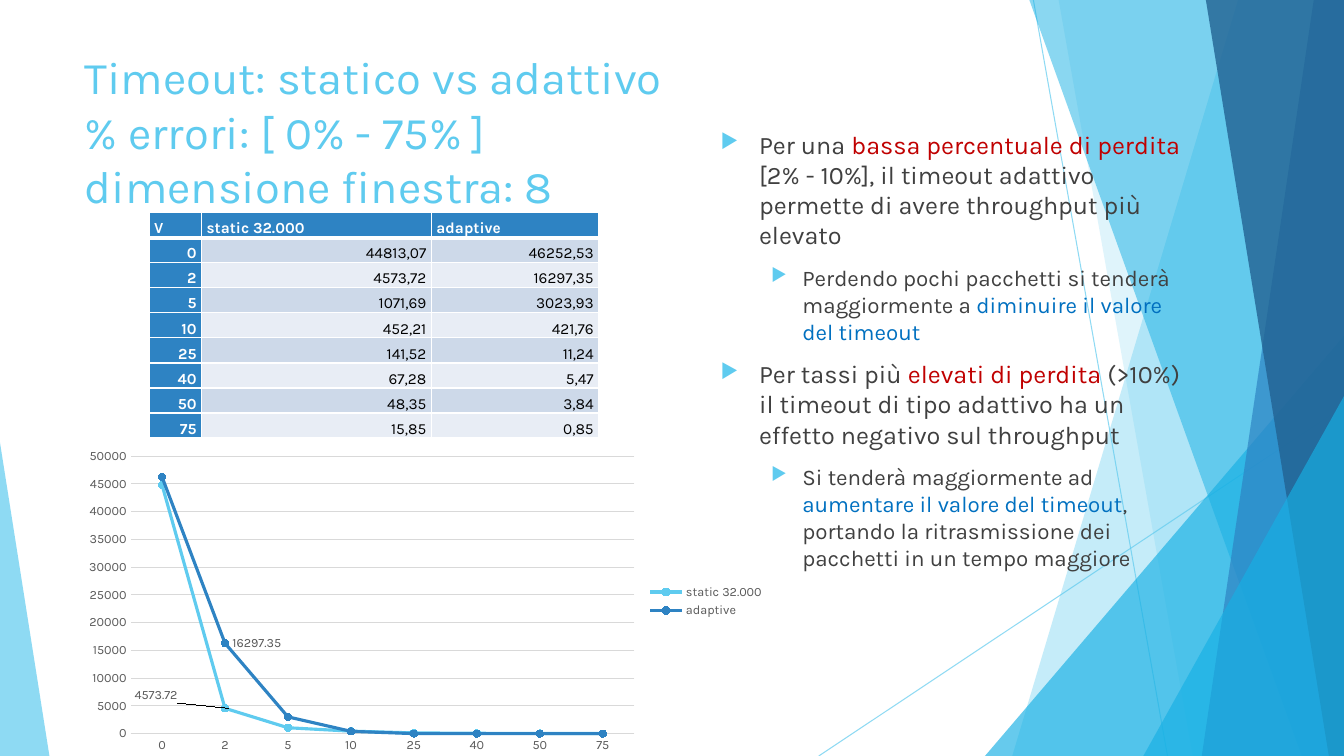
import lxml.etree
import pptx
import pptx.chart.data
import pptx.dml.color
import pptx.enum.chart
import pptx.enum.shapes
import pptx.enum.text
import pptx.oxml.ns
import pptx.util

COLORS = {
    "sky": "5FCBEF", "cyan": "17B0E4", "blue": "2E83C3", "navy": "226292",
    "text": "404040", "red": "C00000", "link": "0070C0", "label": "595959",
    "grid": "D9D9D9", "band": "CDD9E9", "pale": "E8EDF5",
    "white": "FFFFFF", "black": "000000",
}
FONT = "Karla"
WIDTH, HEIGHT = pptx.util.Inches(13.33), pptx.util.Inches(7.5)
LOSS_RATES = ["0", "2", "5", "10", "25", "40", "50", "75"]
THROUGHPUT = {
    "static 32.000": [44813.07, 4573.72, 1071.69, 452.21, 141.52, 67.28, 48.35, 15.85],
    "adaptive": [46252.53, 16297.35, 3023.93, 421.76, 11.24, 5.47, 3.84, 0.85],
}
FINDINGS = [
    (0, [("Per una ", "text"), ("bassa percentuale di perdita ", "red"),
         ("[2% - 10%], il timeout adattivo permette di avere throughput più elevato", "text")]),
    (1, [("Perdendo pochi pacchetti si tenderà maggiormente a ", "text"),
         ("diminuire il valore del timeout", "link")]),
    (0, [("Per tassi più ", "text"), ("elevati di perdita ", "red"),
         ("(>10%) il timeout di tipo adattivo ha un effetto negativo sul throughput", "text")]),
    (1, [("Si tenderà maggiormente ad ", "text"), ("aumentare il valore del timeout", "link"),
         (", portando la ritrasmissione dei pacchetti in un tempo maggiore", "text")]),
]


def area(*percents):
    """Turn alternating percentages of slide width and height into lengths."""
    return [round(value / 100 * (HEIGHT if index % 2 else WIDTH))
            for index, value in enumerate(percents)]


def rgb(name):
    """Look up a named colour."""
    return pptx.dml.color.RGBColor.from_string(COLORS[name])


def add_xml(parent, tag, **attributes):
    """Append a namespaced element such as a:alpha."""
    return lxml.etree.SubElement(parent, pptx.oxml.ns.qn(tag), attributes)


def set_font(font, size, color, bold=None):
    """Apply the slide font in a size and colour."""
    font.name, font.size, font.bold = FONT, pptx.util.Pt(size), bold
    font.color.rgb = rgb(color)


def set_opacity(shape, percent):
    """Make the only colour of a shape partly transparent."""
    for color in shape._element.spPr.iter(pptx.oxml.ns.qn("a:srgbClr")):
        add_xml(color, "a:alpha", val=str(percent * 1000))


def fill_facet(shape, color, opacity):
    """Give a backdrop facet a translucent fill and no outline."""
    shape.shadow.inherit = False
    shape.fill.solid()
    shape.fill.fore_color.rgb = rgb(color)
    set_opacity(shape, opacity)
    shape.line.fill.background()


def add_ray(page, *ends):
    """Draw a thin backdrop line."""
    ray = page.shapes.add_connector(pptx.enum.shapes.MSO_CONNECTOR.STRAIGHT, *area(*ends))
    ray.line.color.rgb = rgb("sky")
    ray.line.width = pptx.util.Pt(0.75)
    set_opacity(ray, 70)
    add_xml(ray._element.spPr, "a:effectLst")


def add_facet(page, top_left, bottom_left, color, opacity):
    """Draw a facet reaching from two left corners to the right slide edge."""
    outline = page.shapes.build_freeform(*area(top_left, 0))
    corners = [(100, 0), (100, 100), (bottom_left, 100)]
    outline.add_line_segments([area(*corner) for corner in corners])
    fill_facet(outline.convert_to_shape(), color, opacity)


def add_triangle(page, bounds, apex, color, opacity):
    """Draw a triangle whose apex sits at a share of its width."""
    triangle = page.shapes.add_shape(
        pptx.enum.shapes.MSO_SHAPE.ISOSCELES_TRIANGLE, *area(*bounds))
    triangle.adjustments[0] = apex
    fill_facet(triangle, color, opacity)


def add_backdrop(page):
    """Draw the faceted backdrop from back to front."""
    add_ray(page, 76.89, 0, 86.87, 100)
    add_ray(page, 100, 53.73, 60.92, 100)
    add_facet(page, 92.12, 75.32, "sky", 36)
    add_facet(page, 78.77, 88.75, "sky", 20)
    add_triangle(page, (73.29, 44.4, 26.71, 55.6), 1, "cyan", 66)
    add_facet(page, 76.59, 96.85, "cyan", 50)
    add_facet(page, 97.75, 89.42, "blue", 70)
    add_facet(page, 89.72, 98.87, "navy", 80)
    add_triangle(page, (85.07, 52.4, 14.93, 47.6), 1, "cyan", 66)
    add_triangle(page, (0, 58.53, 3.68, 41.47), 0, "sky", 70)


def set_title(page, text):
    """Place and format the title."""
    title = page.shapes.title
    title.left, title.top, title.width, title.height = area(5.55, 5.87, 70.5, 20.93)
    frame = title.text_frame
    frame.text = text
    frame.auto_size = pptx.enum.text.MSO_AUTO_SIZE.NONE
    frame.vertical_anchor = pptx.enum.text.MSO_ANCHOR.TOP
    frame.paragraphs[0].alignment = pptx.enum.text.PP_ALIGN.LEFT
    set_font(frame.paragraphs[0].font, 32.4, "sky")


def add_bullet(paragraph, level):
    """Give a paragraph its triangle bullet and hanging indent."""
    indent, hanging = [(0.38, 0.38), (0.81, 0.31)][level]
    paragraph.level = level
    paragraph.space_before = pptx.util.Pt(10)
    properties = paragraph._p.get_or_add_pPr()
    properties.set("marL", str(pptx.util.Inches(indent)))
    properties.set("indent", str(-pptx.util.Inches(hanging)))
    add_xml(add_xml(properties, "a:buClr"), "a:srgbClr", val=COLORS["sky"])
    add_xml(properties, "a:buSzPct", val="80000")
    add_xml(properties, "a:buChar", char="▶")


def add_findings(page):
    """Write the bulleted findings."""
    frame = page.shapes.add_textbox(*area(52.89, 16.4, 36.01, 66)).text_frame
    frame.word_wrap = True
    for index, (level, spans) in enumerate(FINDINGS):
        paragraph = frame.add_paragraph() if index else frame.paragraphs[0]
        add_bullet(paragraph, level)
        set_font(paragraph.font, 18 - 2 * level, "text")
        for text, color in spans:
            span = paragraph.add_run()
            span.text = text
            span.font.color.rgb = rgb(color)


def add_borders(cell, bottom):
    """Draw white cell borders, with the bottom one in its own width."""
    properties = cell._tc.get_or_add_tcPr()
    for index, (side, points) in enumerate([("L", 1), ("R", 1), ("T", 1), ("B", bottom)]):
        line = lxml.etree.Element(pptx.oxml.ns.qn(f"a:ln{side}"), w=str(pptx.util.Pt(points)))
        add_xml(add_xml(line, "a:solidFill"), "a:srgbClr", val=COLORS["white"])
        properties.insert(index, line)


def format_cell(cell, text, row, column):
    """Write and style one table cell."""
    heading = row == 0 or column == 0
    cell.text = text
    cell.fill.solid()
    cell.fill.fore_color.rgb = rgb("blue" if heading else "band" if row % 2 else "pale")
    cell.margin_left = cell.margin_right = pptx.util.Inches(0.05)
    cell.margin_top, cell.margin_bottom = pptx.util.Inches(0.01), 0
    cell.vertical_anchor = pptx.enum.text.MSO_ANCHOR.BOTTOM
    paragraph = cell.text_frame.paragraphs[0]
    paragraph.line_spacing = 1.3
    paragraph.space_after = pptx.util.Pt(8)
    if row:
        paragraph.alignment = pptx.enum.text.PP_ALIGN.RIGHT
    set_font(paragraph.font, 11, "white" if heading else "black", heading)
    add_borders(cell, 1 if row else 3)


def add_throughput_table(page):
    """Tabulate throughput by loss rate."""
    rows = [["V", *THROUGHPUT]]
    for rate, *values in zip(LOSS_RATES, *THROUGHPUT.values()):
        rows.append([rate] + [f"{value:.2f}".replace(".", ",") for value in values])
    table = page.shapes.add_table(len(rows), 3, *area(11.1, 28.13, 33.46, 29.07)).table
    table.horz_banding = False
    for column, inches in zip(table.columns, (0.52, 2.28, 1.66)):
        column.width = pptx.util.Inches(inches)
    for row, texts in enumerate(rows):
        for column, text in enumerate(texts):
            format_cell(table.cell(row, column), text, row, column)


def add_layout(parent, index, **values):
    """Insert a manual chart layout given as shares of the chart."""
    for old in parent.findall(pptx.oxml.ns.qn("c:layout")):
        parent.remove(old)
    layout = lxml.etree.Element(pptx.oxml.ns.qn("c:layout"))
    manual = add_xml(layout, "c:manualLayout")
    for name, value in values.items():
        add_xml(manual, f"c:{name}", val=str(value))
    parent.insert(index, layout)


def format_series(series, color):
    """Style one line and label its second point."""
    series.smooth = False
    series.format.line.color.rgb = rgb(color)
    series.format.line.width = pptx.util.Pt(2.25)
    series.marker.style = pptx.enum.chart.XL_MARKER_STYLE.CIRCLE
    series.marker.size = 5
    for part in (series.marker.format.fill, series.marker.format.line.fill):
        part.solid()
        part.fore_color.rgb = rgb(color)
    series.data_labels.show_value = False
    label = series.points[1].data_label
    set_font(label.font, 9, "label")
    label.position = pptx.enum.chart.XL_LABEL_POSITION.RIGHT


def add_throughput_chart(page):
    """Plot throughput by loss rate."""
    data = pptx.chart.data.CategoryChartData()
    data.categories = LOSS_RATES
    for name, values in THROUGHPUT.items():
        data.add_series(name, values)
    chart = page.shapes.add_chart(pptx.enum.chart.XL_CHART_TYPE.LINE_MARKERS,
                                  *area(5.55, 58.67, 52.06, 41.73), data).chart
    set_font(chart.font, 10, "black")
    chart.has_title = False
    chart.has_legend = True
    chart.legend.position = pptx.enum.chart.XL_LEGEND_POSITION.RIGHT
    chart.legend.include_in_layout = False
    set_font(chart.legend.font, 9, "label")
    for axis in (chart.category_axis, chart.value_axis):
        set_font(axis.tick_labels.font, 9, "label")
        axis.major_tick_mark = axis.minor_tick_mark = pptx.enum.chart.XL_TICK_MARK.NONE
    chart.value_axis.format.line.fill.background()
    chart.value_axis.maximum_scale, chart.value_axis.major_unit = 50000, 5000
    for part in (chart.category_axis, chart.value_axis.major_gridlines):
        part.format.line.color.rgb = rgb("grid")
        part.format.line.width = pptx.util.Pt(0.75)
    plot = chart.plots[0]
    plot.vary_by_categories = False
    for series, color in zip(plot.series, ("sky", "blue")):
        format_series(series, color)
    add_layout(plot.series[0]._element.xpath(".//c:dLbl")[0], 1, x=-0.14, y=-0.04)
    add_layout(chart._chartSpace.xpath(".//c:plotArea")[0], 0, layoutTarget="inner",
               xMode="edge", yMode="edge", x=0.08, y=0.04, w=0.72, h=0.88)


def main():
    """Build and save the slide."""
    deck = pptx.Presentation()
    deck.slide_width, deck.slide_height = WIDTH, HEIGHT
    page = deck.slides.add_slide(deck.slide_layouts[5])
    add_backdrop(page)
    set_title(page, "Timeout: statico vs adattivo\v% errori: [ 0% - 75% ]\vdimensione finestra: 8")
    add_findings(page)
    add_throughput_table(page)
    add_throughput_chart(page)
    deck.save("out.pptx")


main()
